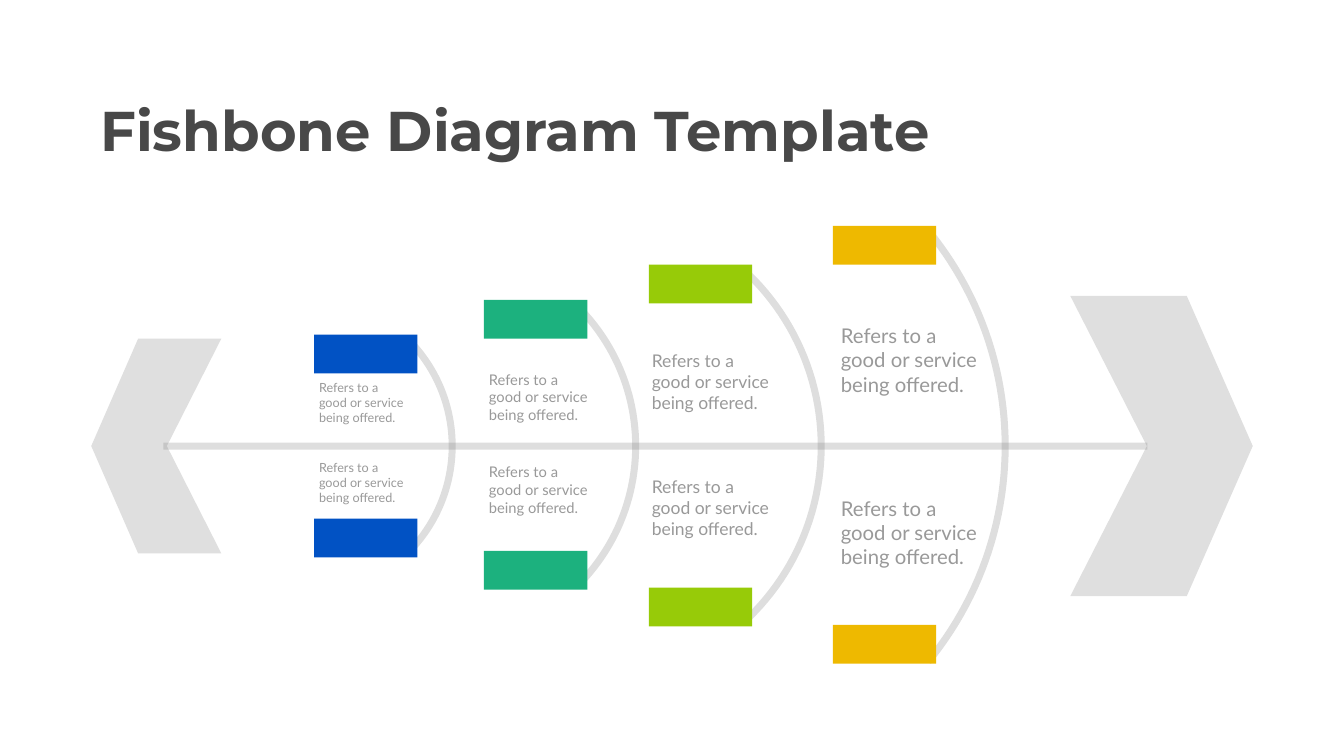
"""Build the fishbone diagram slide."""
import dataclasses
import math

import pptx
import pptx.dml.color
import pptx.enum.shapes
import pptx.enum.text
import pptx.oxml.ns
import pptx.oxml.xmlchemy
import pptx.util

Inches = pptx.util.Inches
AXIS = 8.85
CAPTION = "Refers to a good or service being offered."


@dataclasses.dataclass(frozen=True)
class Theme:
    """Colours, fonts and type sizes of the slide."""

    skeleton: str = "808080"
    opacity: int = 25
    bone_width: int = 10
    title_color: str = "484848"
    title_font: str = "Montserrat"
    title_size: int = 80
    caption_color: str = "999999"
    caption_font: str = "Lato"


@dataclasses.dataclass(frozen=True)
class Rib:
    """One rib: its labels, captions and curved bone."""

    color: str
    label_left: float
    label_tops: tuple
    caption_left: float
    caption_tops: tuple
    caption_box: tuple
    caption_size: int
    bone_left: float
    bow: float
    half_height: float


THEME = Theme()
RIBS = (
    Rib("EEB900", 16.52, (4.48, 12.4), 16.58, (6.36, 9.79), (2.92, 1.57), 29, 18.41, 1.53, 4.28),
    Rib("97CB08", 12.87, (5.25, 11.66), 12.83, (6.9, 9.4), (2.58, 1.36), 25, 14.74, 1.55, 3.51),
    Rib("1CB17E", 9.6, (5.95, 10.93), 9.6, (7.3, 9.14), (2.28, 1.16), 21, 11.45, 1.16, 2.78),
    Rib("0152C4", 6.23, (6.64, 10.29), 6.23, (7.49, 9.08), (1.89, 1.01), 18, 8.08, 0.89, 2.13),
)


def rgb(value):
    """Return the colour for a hex string."""
    return pptx.dml.color.RGBColor.from_string(value)


def make_translucent(shape):
    """Apply the skeleton opacity to every explicit colour of a shape."""
    for color in shape.element.iter(pptx.oxml.ns.qn("a:srgbClr")):
        alpha = pptx.oxml.xmlchemy.OxmlElement("a:alpha")
        alpha.set("val", str(THEME.opacity * 1000))
        color.append(alpha)


def style_bone(bone):
    """Give a bone its wide translucent stroke."""
    bone.line.color.rgb = rgb(THEME.skeleton)
    bone.line.width = pptx.util.Pt(THEME.bone_width)
    make_translucent(bone)


def style_block(block, color):
    """Give a shape a flat fill without outline or shadow."""
    block.shadow.inherit = False
    block.fill.solid()
    block.fill.fore_color.rgb = rgb(color)
    block.line.fill.background()


def add_outline(slide, points, close):
    """Draw a freeform through points given in inches."""
    start, *rest = [(Inches(x), Inches(y)) for x, y in points]
    builder = slide.shapes.build_freeform(*start)
    builder.add_line_segments(rest, close=close)
    return builder.convert_to_shape()


def add_spine(slide):
    """Draw the horizontal spine from head to tail."""
    spine = slide.shapes.add_connector(
        pptx.enum.shapes.MSO_CONNECTOR.STRAIGHT,
        Inches(22.76), Inches(AXIS), Inches(3.24), Inches(AXIS))
    spine.element.spPr.append(pptx.oxml.xmlchemy.OxmlElement("a:effectLst"))
    style_bone(spine)


def add_curved_bone(slide, rib, steps=48):
    """Draw the circular arc of a rib, symmetric about the spine."""
    radius = (rib.half_height ** 2 + rib.bow ** 2) / (2 * rib.bow)
    center = rib.bone_left + rib.bow - radius
    reach = math.asin(rib.half_height / radius)
    angles = [reach * (2 * step / steps - 1) for step in range(steps + 1)]
    points = [(center + radius * math.cos(a), AXIS + radius * math.sin(a)) for a in angles]
    bone = add_outline(slide, points, close=False)
    bone.shadow.inherit = False
    bone.fill.background()
    style_bone(bone)


def add_label(slide, left, top, color):
    """Draw a coloured label block."""
    label = slide.shapes.add_shape(
        pptx.enum.shapes.MSO_SHAPE.RECTANGLE,
        Inches(left), Inches(top), Inches(2.05), Inches(0.77))
    style_block(label, color)


def add_chevron(slide, notch, wing, shoulder, nose, half_height):
    """Draw the head or tail of the fish as a chevron."""
    top, bottom = AXIS - half_height, AXIS + half_height
    chevron = add_outline(slide, [
        (shoulder, bottom), (wing, bottom), (notch, AXIS),
        (wing, top), (shoulder, top), (nose, AXIS)], close=True)
    style_block(chevron, THEME.skeleton)
    make_translucent(chevron)


def set_type(paragraph, font, size, color, bold=False):
    """Set the type of a left-aligned paragraph."""
    paragraph.alignment = pptx.enum.text.PP_ALIGN.LEFT
    paragraph.font.name = font
    paragraph.font.size = pptx.util.Pt(size)
    paragraph.font.bold = bold
    paragraph.font.color.rgb = rgb(color)


def add_caption(slide, rib, top):
    """Write a rib caption."""
    width, height = rib.caption_box
    caption = slide.shapes.add_textbox(
        Inches(rib.caption_left), Inches(top), Inches(width), Inches(height)).text_frame
    caption.word_wrap = True
    caption.auto_size = pptx.enum.text.MSO_AUTO_SIZE.SHAPE_TO_FIT_TEXT
    caption.text = CAPTION
    set_type(caption.paragraphs[0], THEME.caption_font, rib.caption_size, THEME.caption_color)


def set_title(slide, text):
    """Place and format the slide title."""
    title = slide.shapes.title
    title.left, title.top = Inches(1.89), Inches(1.85)
    title.width, title.height = Inches(16.71), Inches(1.45)
    heading = title.text_frame
    heading.text = text
    heading.word_wrap = False
    heading.auto_size = pptx.enum.text.MSO_AUTO_SIZE.SHAPE_TO_FIT_TEXT
    heading.vertical_anchor = pptx.enum.text.MSO_ANCHOR.TOP
    set_type(heading.paragraphs[0], THEME.title_font, THEME.title_size, THEME.title_color, bold=True)


def main():
    """Build and save the slide."""
    deck = pptx.Presentation()
    deck.slide_width, deck.slide_height = Inches(26.66), Inches(15)
    slide = deck.slides.add_slide(deck.slide_layouts.get_by_name("Title Only"))
    set_title(slide, "Fishbone Diagram Template")
    add_spine(slide)
    for rib in RIBS:
        add_curved_bone(slide, rib)
    for rib in RIBS:
        for top in rib.label_tops:
            add_label(slide, rib.label_left, top, rib.color)
    add_chevron(slide, notch=22.75, wing=21.23, shoulder=23.54, nose=24.85, half_height=2.98)
    add_chevron(slide, notch=3.31, wing=4.39, shoulder=2.74, nose=1.81, half_height=2.13)
    for rib in RIBS:
        for top in rib.caption_tops:
            add_caption(slide, rib, top)
    deck.save("out.pptx")


if __name__ == "__main__":
    main()
